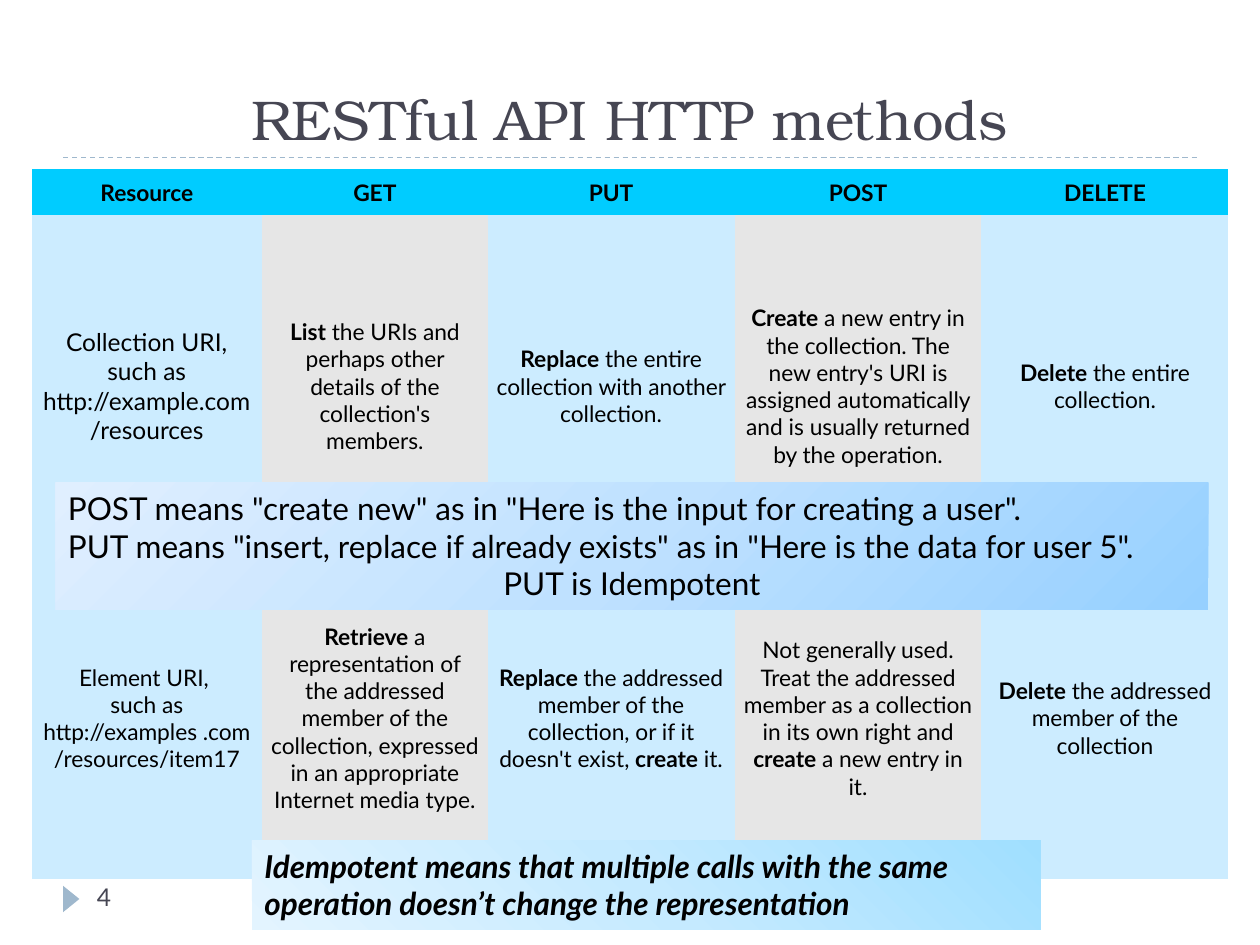
import dataclasses
import typing

import lxml.etree
import pptx
import pptx.dml.color
import pptx.enum.dml
import pptx.enum.shapes
import pptx.enum.text
import pptx.oxml
import pptx.oxml.ns
import pptx.util

Inches = pptx.util.Inches
ALIGN = pptx.enum.text.PP_ALIGN
ANCHOR = pptx.enum.text.MSO_ANCHOR
SHAPE = pptx.enum.shapes.MSO_SHAPE


@dataclasses.dataclass(frozen=True)
class Theme:
    title_font: str = "TeX Gyre Bonum"
    body_font: str = "Lato"
    heading: str = "464653"
    ink: str = "000000"
    accent: str = "9FB8CD"
    header_fill: str = "00CCFF"
    column_fills: tuple[str, str] = ("CCECFF", "E6E6E6")
    title_size: int = 32
    note_size: int = 18
    label_size: int = 14
    cell_size: int = 13


@dataclasses.dataclass(frozen=True)
class Box:
    left: float
    top: float
    width: float
    height: float

    def lengths(self) -> tuple[int, ...]:
        return tuple(Inches(value) for value in dataclasses.astuple(self))


@dataclasses.dataclass(frozen=True)
class Style:
    size: int
    color: str
    font: str
    bold: bool = False
    italic: bool = False


@dataclasses.dataclass(frozen=True)
class Line:
    text: str
    align: typing.Any = ALIGN.LEFT


@dataclasses.dataclass(frozen=True)
class Note:
    box: Box
    lines: tuple[Line, ...]
    style: Style
    stops: tuple[str, str, str]
    direction: str


THEME = Theme()
BODY = Style(THEME.cell_size, THEME.ink, THEME.body_font)
NOTE = dataclasses.replace(BODY, size=THEME.note_size)
GRID = Box(0.25, 1.34, 9.5, 5.64)
COLUMN_WIDTHS = (1.83, 1.79, 1.96, 1.96, 1.96)
ROW_HEIGHTS = (0.37, 2.71, 2.56)

METHODS = (
    ("*Resource*", "*GET*", "*PUT*", "*POST*", "*DELETE*"),
    (
        "Collection URI, such as http://example.com/resources",
        "*List* the URIs and perhaps other details of the collection's members.",
        "*Replace* the entire collection with another collection.",
        "*Create* a new entry in the collection. The new entry's URI is assigned "
        "automatically and is usually returned by the operation.",
        "*Delete* the entire collection.",
    ),
    (
        "Element URI, \nsuch as http://examples .com\n/resources/item17",
        "*Retrieve* a representation of the addressed member of the collection, "
        "expressed in an appropriate Internet media type.",
        "*Replace* the addressed member of the collection, or if it doesn't exist, "
        "*create* it.",
        "Not generally used. Treat the addressed member as a collection in its own "
        "right and *create* a new entry in it.",
        "*Delete* the addressed member of the collection",
    ),
)

NOTES = (
    Note(
        Box(0.44, 3.83, 9.15, 1.01),
        (
            Line('POST means "create new" as in "Here is the input for creating a user".'),
            Line('PUT means "insert, replace if already exists" as in '
                 '"Here is the data for user 5".'),
            Line("PUT is Idempotent", ALIGN.CENTER),
        ),
        NOTE,
        ("96D0FF", "BFE1FF", "E0EFFF"),
        '<a:lin ang="13500000" scaled="0"/>',
    ),
    Note(
        Box(2, 6.67, 6.26, 0.71),
        (Line("Idempotent means that multiple calls with the same operation "
              "doesn’t change the representation"),),
        dataclasses.replace(NOTE, bold=True, italic=True),
        ("A0DFFF", "C5EAFF", "E3F4FF"),
        '<a:path path="circle"><a:fillToRect l="100000" b="100000"/></a:path>',
    ),
)


def rgb(color: str) -> pptx.dml.color.RGBColor:
    return pptx.dml.color.RGBColor.from_string(color)


def write(frame, lines: typing.Iterable[Line], style: Style) -> None:
    for index, line in enumerate(lines):
        paragraph = frame.add_paragraph() if index else frame.paragraphs[0]
        paragraph.alignment = line.align
        for position, piece in enumerate(line.text.split("*")):
            if not piece:
                continue
            run = paragraph.add_run()
            run.text = piece
            run.font.name = style.font
            run.font.size = pptx.util.Pt(style.size)
            run.font.color.rgb = rgb(style.color)
            run.font.bold = style.bold or position % 2 == 1
            run.font.italic = style.italic


def add_text(slide, box: Box, line: Line, style: Style, anchor) -> None:
    frame = slide.shapes.add_textbox(*box.lengths()).text_frame
    frame.word_wrap = True
    frame.vertical_anchor = anchor
    write(frame, [line], style)


def add_title_rule(slide) -> None:
    rule = slide.shapes.add_connector(
        pptx.enum.shapes.MSO_CONNECTOR.STRAIGHT,
        Inches(0.5), Inches(1.25), Inches(9.5), Inches(1.25))
    rule.line.color.rgb = rgb(THEME.accent)
    rule.line.width = pptx.util.Pt(0.75)
    rule.line.dash_style = pptx.enum.dml.MSO_LINE.DASH
    lxml.etree.SubElement(rule._element.spPr, pptx.oxml.ns.qn("a:effectLst"))


def add_page_marker(slide) -> None:
    marker = slide.shapes.add_shape(
        SHAPE.ISOSCELES_TRIANGLE, *Box(0.46, 7.07, 0.21, 0.13).lengths())
    marker.rotation = 90
    marker.shadow.inherit = False
    marker.fill.solid()
    marker.fill.fore_color.rgb = rgb(THEME.accent)
    marker.line.fill.background()


def add_methods_table(slide) -> None:
    table = slide.shapes.add_table(
        len(ROW_HEIGHTS), len(COLUMN_WIDTHS), *GRID.lengths()).table
    table.first_row = table.horz_banding = False
    style_id = table._tbl.tblPr.find(pptx.oxml.ns.qn("a:tableStyleId"))
    style_id.text = "{2D5ABB26-0587-4C30-8999-92F81FD0307C}"
    for column, width in zip(table.columns, COLUMN_WIDTHS):
        column.width = Inches(width)
    for row, height in zip(table.rows, ROW_HEIGHTS):
        row.height = Inches(height)
    for r, texts in enumerate(METHODS):
        for c, text in enumerate(texts):
            cell = table.cell(r, c)
            cell.vertical_anchor = ANCHOR.MIDDLE
            cell.margin_left = cell.margin_right = Inches(0.07)
            cell.margin_top = cell.margin_bottom = Inches(0.04)
            cell.fill.solid()
            cell.fill.fore_color.rgb = rgb(
                THEME.column_fills[c % 2] if r else THEME.header_fill)
            size = THEME.label_size if (r, c) == (1, 0) else THEME.cell_size
            lines = [Line(part, ALIGN.CENTER) for part in text.split("\n")]
            write(cell.text_frame, lines, dataclasses.replace(BODY, size=size))


def add_note(slide, note: Note) -> None:
    shape = slide.shapes.add_shape(SHAPE.RECTANGLE, *note.box.lengths())
    shape.shadow.inherit = False
    shape.line.fill.background()
    shape.fill.gradient()
    stops = "".join(
        f'<a:gs pos="{index * 50000}"><a:srgbClr val="{color}"/></a:gs>'
        for index, color in enumerate(note.stops))
    gradient = pptx.oxml.parse_xml(
        f'<a:gradFill {pptx.oxml.ns.nsdecls("a")} rotWithShape="1">'
        f"<a:gsLst>{stops}</a:gsLst>{note.direction}</a:gradFill>")
    properties = shape._element.spPr
    properties.replace(properties.find(pptx.oxml.ns.qn("a:gradFill")), gradient)
    frame = shape.text_frame
    frame.word_wrap = True
    frame.vertical_anchor = ANCHOR.TOP
    frame.auto_size = pptx.enum.text.MSO_AUTO_SIZE.SHAPE_TO_FIT_TEXT
    write(frame, note.lines, note.style)


deck = pptx.Presentation()
deck.slide_width, deck.slide_height = Inches(10), Inches(7.5)
methods_slide = deck.slides.add_slide(deck.slide_layouts[6])
add_title_rule(methods_slide)
add_page_marker(methods_slide)
add_text(methods_slide, Box(0.5, 0.17, 9, 1.08),
         Line("RESTful API HTTP methods", ALIGN.CENTER),
         Style(THEME.title_size, THEME.heading, THEME.title_font), ANCHOR.BOTTOM)
add_text(methods_slide, Box(0.67, 6.95, 2.17, 0.4), Line("4"),
         Style(THEME.label_size, THEME.heading, THEME.body_font), ANCHOR.TOP)
add_methods_table(methods_slide)
for note in NOTES:
    add_note(methods_slide, note)
deck.save("out.pptx")
